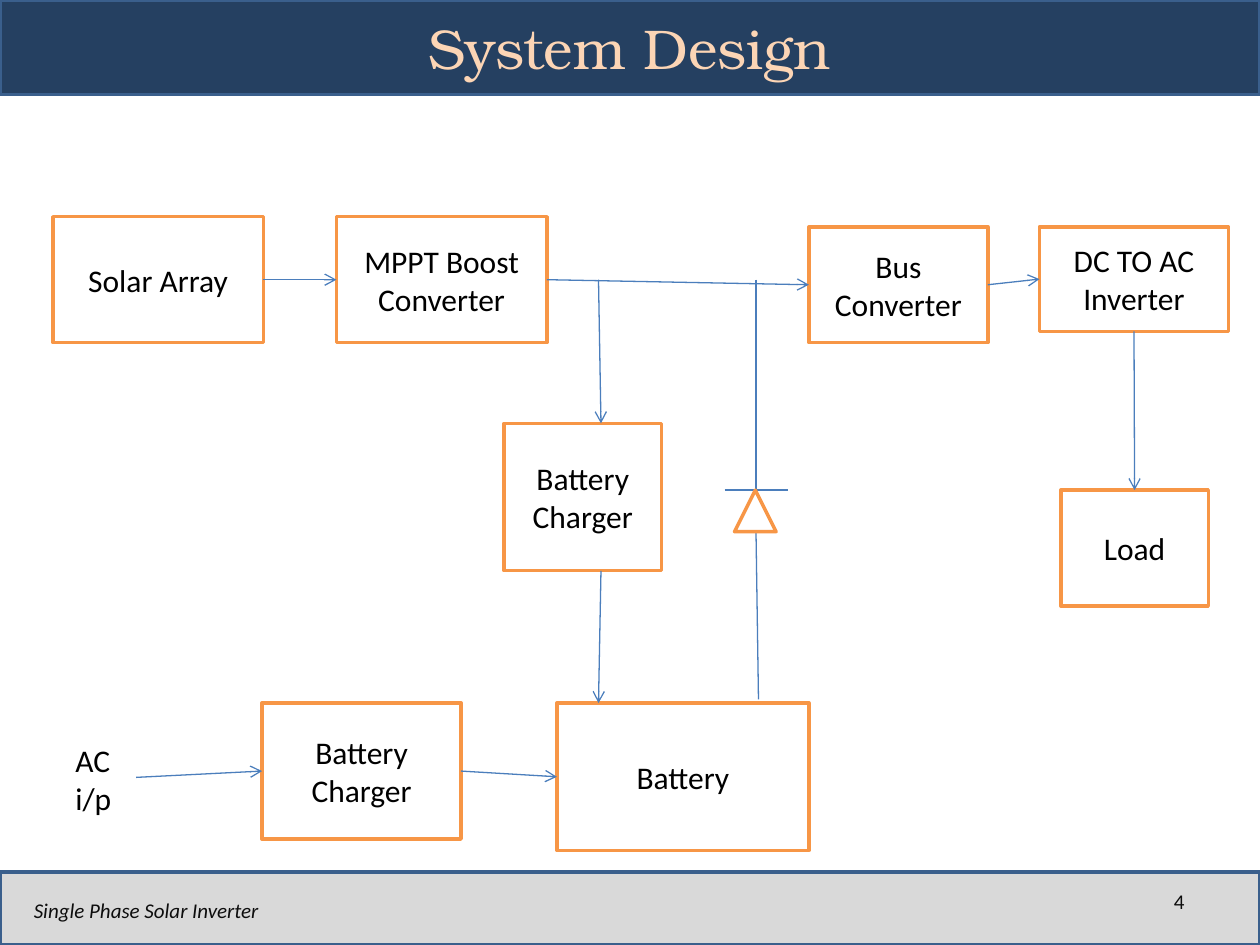
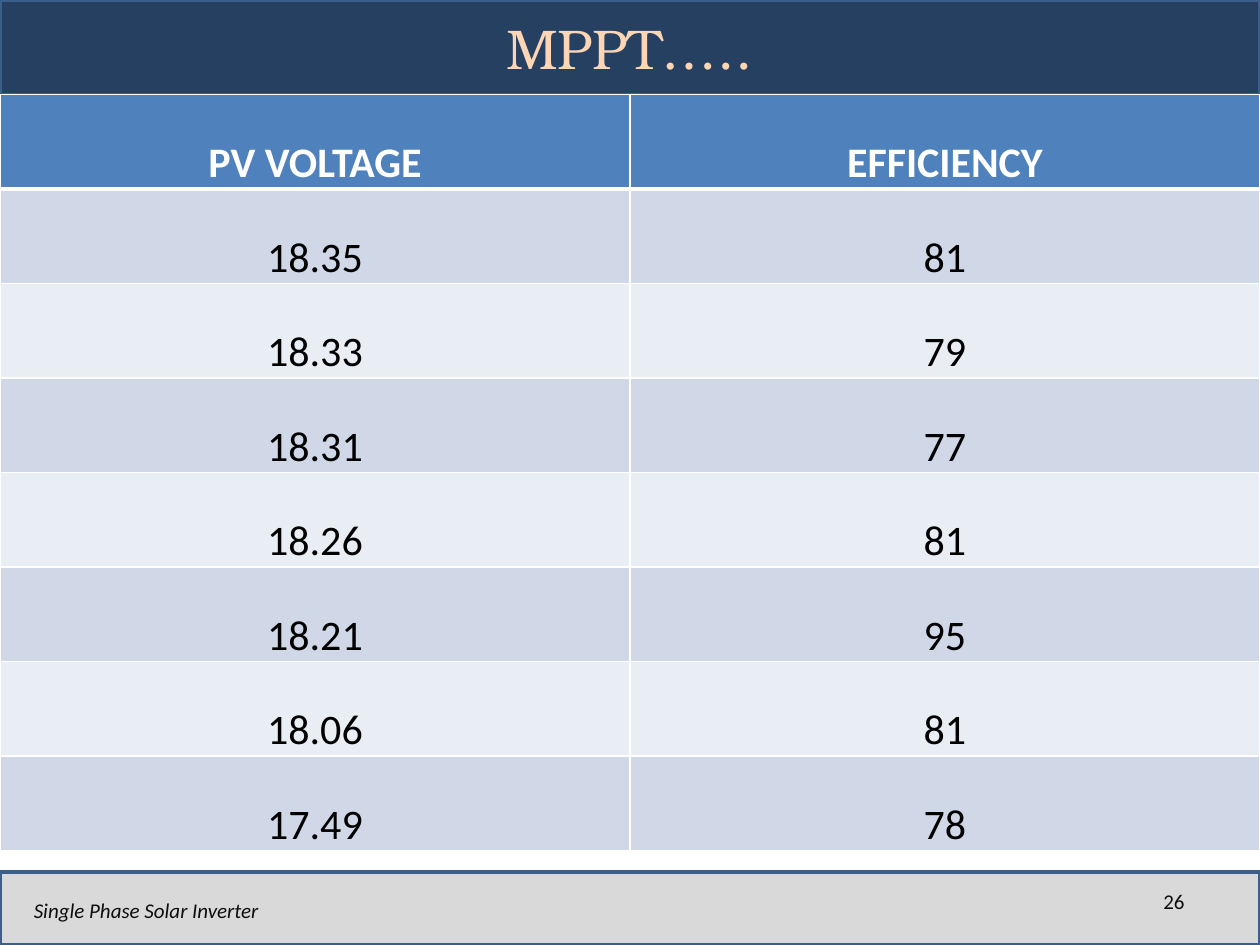
from lxml import etree
from pptx import Presentation
from pptx import util as u
from pptx.dml.color import RGBColor
from pptx.enum import shapes, text
from pptx.oxml.ns import qn

TITLE_FONT, BODY_FONT = "TeX Gyre Bonum", "Calibri"
WHITE, BLACK = "FFFFFF", "000000"
NAVY, BAND_LINE, GREY, PEACH = "254061", "3A5F8C", "D9D9D9", "FCD5B5"
ORANGE, BLUE, FOOTER_INK = "F79646", "4B7EBC", "0D0D0D"
HEADER_FILL, ROW_FILLS = "4F81BD", ("D0D8E8", "E9EDF4")
LEFT, CENTER, RIGHT = text.PP_ALIGN.LEFT, text.PP_ALIGN.CENTER, text.PP_ALIGN.RIGHT
MIDDLE, TOP = text.MSO_ANCHOR.MIDDLE, text.MSO_ANCHOR.TOP
RECTANGLE = shapes.MSO_SHAPE.RECTANGLE
SITE_TOP, SITE_LEFT, SITE_BOTTOM, SITE_RIGHT = range(4)

# Block name: label, (left, top, width, height)
BLOCKS = {
    "solar": ("Solar Array", (0.42, 1.72, 1.67, 1)),
    "boost": ("MPPT Boost Converter", (2.67, 1.72, 1.67, 1)),
    "bus": ("Bus Converter", (6.42, 1.8, 1.42, 0.92)),
    "inverter": ("DC TO AC Inverter", (8.25, 1.8, 1.5, 0.83)),
    "solar charger": ("Battery Charger", (4, 3.36, 1.25, 1.17)),
    "battery": ("Battery", (4.42, 5.58, 2, 1.17)),
    "mains charger": ("Battery Charger", (2.08, 5.58, 1.58, 1.08)),
    "load": ("Load", (8.42, 3.89, 1.17, 0.92)),
}
# Arrows that run from one block's edge to another's
LINKS = [
    ("solar", SITE_RIGHT, "boost", SITE_LEFT),
    ("boost", SITE_RIGHT, "bus", SITE_LEFT),
    ("bus", SITE_RIGHT, "inverter", SITE_LEFT),
    ("inverter", SITE_BOTTOM, "load", SITE_TOP),
    ("mains charger", SITE_RIGHT, "battery", SITE_LEFT),
]
# Free wires: start, end, has an arrowhead
WIRES = [
    ((4.75, 2.22), (4.77, 3.36), True),
    ((4.77, 4.53), (4.75, 5.58), True),
    ((1.08, 6.17), (2.08, 6.12), True),
    ((6, 2.22), (6, 3.89), False),
    ((5.75, 3.89), (6.25, 3.89), False),
    ((6, 4.22), (6.02, 5.55), False),
]
EFFICIENCY_ROWS = [
    ("PV VOLTAGE", "EFFICIENCY"),
    ("18.35", "81"),
    ("18.33", "79"),
    ("18.31", "77"),
    ("18.26", "81"),
    ("18.21", "95"),
    ("18.06", "81"),
    ("17.49", "78"),
]


def color(hex_string):
    return RGBColor.from_string(hex_string)


def inches(values):
    return [u.Inches(value) for value in values]


def write(frame, words, size, ink, align=LEFT, anchor=MIDDLE, font=BODY_FONT,
          bold=False, italic=False):
    frame.word_wrap = True
    frame.vertical_anchor = anchor
    paragraph = frame.paragraphs[0]
    paragraph.alignment = align
    run = paragraph.add_run()
    run.text = words
    run.font.name, run.font.size = font, u.Pt(size)
    run.font.bold, run.font.italic = bold, italic
    run.font.color.rgb = color(ink)


def add_panel(slide, box, fill, line, preset=RECTANGLE):
    shape = slide.shapes.add_shape(preset, *inches(box))
    shape.shadow.inherit = False
    shape.fill.solid()
    shape.fill.fore_color.rgb = color(fill)
    shape.line.color.rgb = color(line)
    shape.line.width = u.Pt(2)
    return shape


def add_label(slide, box, words, size, ink, **style):
    write(slide.shapes.add_textbox(*inches(box)).text_frame, words, size, ink, **style)


def add_wire(slide, start=(0, 0), end=(0, 0), arrow=True):
    wire = slide.shapes.add_connector(shapes.MSO_CONNECTOR.STRAIGHT, *inches(start + end))
    wire.line.color.rgb = color(BLUE)
    wire.line.width = u.Pt(0.75)
    if arrow:
        etree.SubElement(wire.line._get_or_add_ln(), qn("a:tailEnd"), type="arrow")
    etree.SubElement(wire._element.spPr, qn("a:effectLst"))
    return wire


def add_bands(slide):
    """Draw the two bands and move them to the layout, behind its placeholders."""
    layout_tree = slide.slide_layout.shapes._spTree
    for box, fill in (((0, 0, 10, 0.75), NAVY), ((0, 6.92, 10, 0.58), GREY)):
        layout_tree.insert(2, add_panel(slide, box, fill, BAND_LINE)._element)


def add_slide(presentation, title, number):
    slide = presentation.slides.add_slide(presentation.slide_layouts[5])
    placeholder = slide.shapes.title
    placeholder.left, placeholder.top, placeholder.width, placeholder.height = inches(
        (0.5, 0, 9, 0.75))
    write(placeholder.text_frame, title, 32, PEACH, align=CENTER, font=TITLE_FONT)
    placeholder.text_frame.auto_size = text.MSO_AUTO_SIZE.NONE
    add_label(slide, (8.5, 6.95, 1, 0.4), number, 12, FOOTER_INK, align=RIGHT)
    add_label(slide, (0.17, 7.02, 3.17, 0.4), "Single Phase Solar Inverter", 12,
              FOOTER_INK, italic=True)
    return slide


def add_block_diagram(slide):
    blocks = {}
    for name, (label, box) in BLOCKS.items():
        blocks[name] = add_panel(slide, box, WHITE, ORANGE)
        write(blocks[name].text_frame, label, 18, BLACK, align=CENTER)
    add_label(slide, (0.5, 5.83, 0.58, 0.71), "AC i/p", 18, BLACK, anchor=TOP)

    for source, source_site, target, target_site in LINKS:
        wire = add_wire(slide)
        wire.begin_connect(blocks[source], source_site)
        wire.end_connect(blocks[target], target_site)
    for start, end, arrow in WIRES:
        add_wire(slide, start, end, arrow)

    # Diode body
    add_panel(slide, (5.83, 3.89, 0.33, 0.33), WHITE, ORANGE,
              shapes.MSO_SHAPE.ISOSCELES_TRIANGLE)


def set_borders(cell, top, bottom):
    properties = cell._tc.get_or_add_tcPr()
    widths = (("a:lnL", 1), ("a:lnR", 1), ("a:lnT", top), ("a:lnB", bottom))
    for index, (tag, width) in enumerate(widths):
        line = etree.Element(qn(tag), w=str(u.Pt(width)))
        fill = etree.SubElement(line, qn("a:solidFill"))
        etree.SubElement(fill, qn("a:srgbClr"), val=WHITE)
        properties.insert(index, line)


def add_efficiency_table(slide):
    row_count = len(EFFICIENCY_ROWS)
    table = slide.shapes.add_table(row_count, 2, *inches((0, 0.75, 10, 6))).table
    for row, values in enumerate(EFFICIENCY_ROWS):
        header = row == 0
        table.rows[row].height = u.Inches(6 / row_count)
        for column, value in enumerate(values):
            cell = table.cell(row, column)
            cell.margin_left = cell.margin_right = cell.margin_top = u.Inches(0.01)
            cell.margin_bottom = 0
            cell.fill.solid()
            cell.fill.fore_color.rgb = color(HEADER_FILL if header else ROW_FILLS[(row - 1) % 2])
            write(cell.text_frame, value, 24, WHITE if header else BLACK,
                  align=CENTER, bold=header)
            cell.vertical_anchor = text.MSO_ANCHOR.BOTTOM
            set_borders(cell, top=3 if row == 1 else 1, bottom=3 if header else 1)


def main():
    presentation = Presentation()
    presentation.slide_width, presentation.slide_height = inches((10, 7.5))

    design = add_slide(presentation, "System Design", "4")
    add_bands(design)
    add_block_diagram(design)

    mppt = add_slide(presentation, "MPPT…..", "26")
    add_efficiency_table(mppt)

    presentation.save("out.pptx")


if __name__ == "__main__":
    main()
